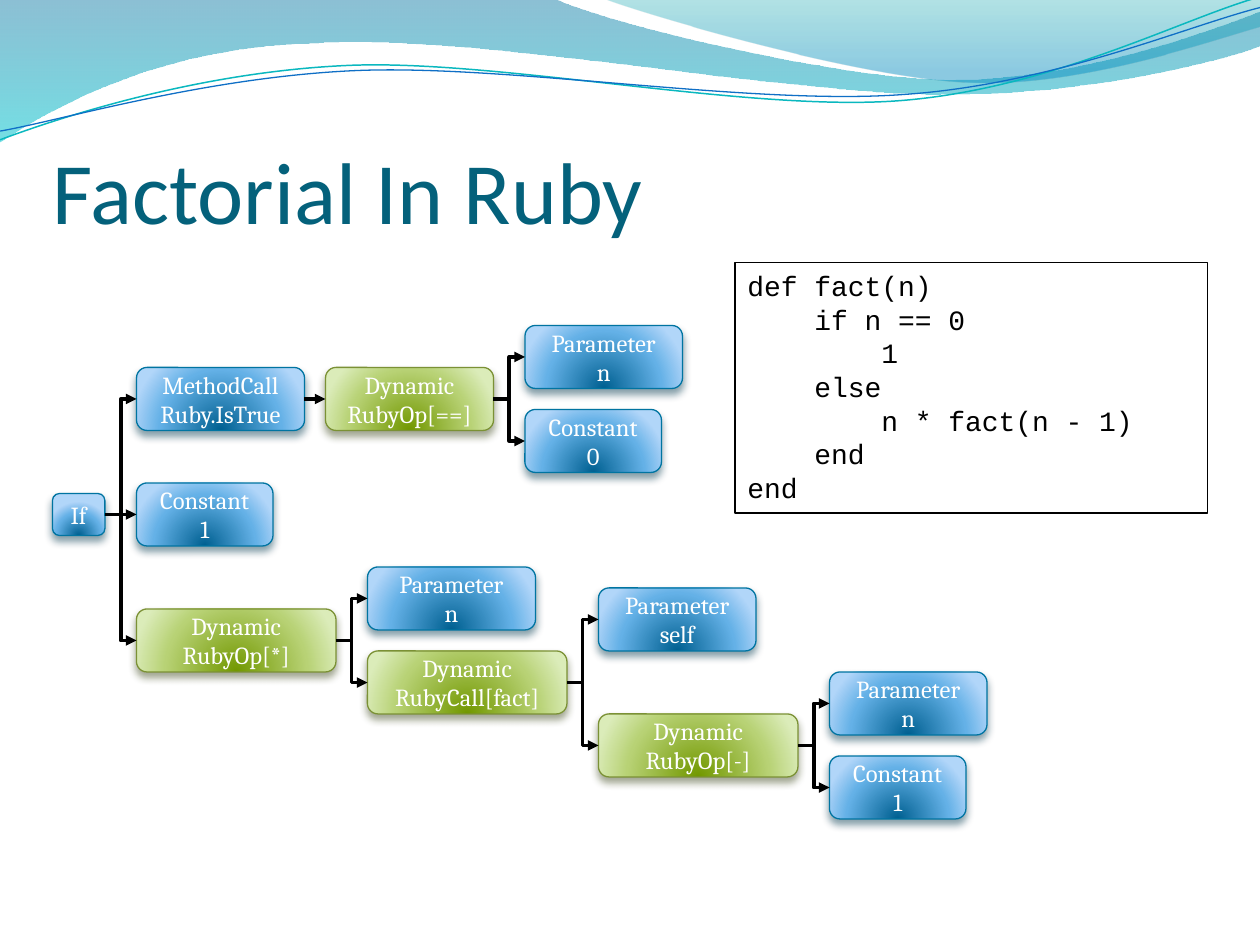
from lxml.etree import SubElement
from pptx import Presentation
from pptx.dml.color import RGBColor
from pptx.enum.shapes import MSO_CONNECTOR, MSO_SHAPE
from pptx.enum.text import MSO_ANCHOR, MSO_AUTO_SIZE, PP_ALIGN
from pptx.oxml.ns import qn
from pptx.util import Pt

BLACK = RGBColor(0x00, 0x00, 0x00)
WHITE = RGBColor(0xFF, 0xFF, 0xFF)
TITLE_TEAL = RGBColor(0x04, 0x61, 0x7B)
WAVE_TEAL = RGBColor(0x0A, 0xB8, 0xBF)
WAVE_BLUE = RGBColor(0x0F, 0x6F, 0xC6)
NODE_STYLES = {
    "blue": {
        "stops": [(0, RGBColor(0x00, 0x60, 0x91), 100), (68, RGBColor(0x64, 0xB1, 0xE7), 100),
                  (100, RGBColor(0xB1, 0xD6, 0xF9), 100)],
        "line": RGBColor(0x00, 0x74, 0xA1), "shadow": RGBColor(0x00, 0x37, 0x4C)},
    "green": {
        "stops": [(0, RGBColor(0x72, 0x98, 0x00), 100), (68, RGBColor(0xB8, 0xD2, 0x75), 100),
                  (100, RGBColor(0xDB, 0xEC, 0xB9), 100)],
        "line": RGBColor(0x7B, 0x91, 0x35), "shadow": RGBColor(0x3A, 0x45, 0x19)},
}

TITLE = "Factorial In Ruby"
CODE = [
    "def fact(n)",
    "    if n == 0",
    "        1",
    "    else",
    "        n * fact(n - 1)",
    "    end",
    "end",
]

# name: (style, left, top, width, height, lines)
NODES = {
    "if": ("blue", 30, 282, 30, 24, ["If"]),
    "is true": ("blue", 78, 210, 96, 36, ["MethodCall", "Ruby.IsTrue"]),
    "equals": ("green", 186, 210, 96, 36, ["Dynamic", "RubyOp[==]"]),
    "equals n": ("blue", 300, 186, 90, 36, ["Parameter", "n"]),
    "equals 0": ("blue", 300, 234, 78, 36, ["Constant", "0"]),
    "then 1": ("blue", 78, 276, 78, 36, ["Constant", "1"]),
    "times": ("green", 78, 348, 114, 36, ["Dynamic", "RubyOp[*]"]),
    "times n": ("blue", 210, 324, 96, 36, ["Parameter", "n"]),
    "call": ("green", 210, 372, 114, 36, ["Dynamic", "RubyCall[fact]"]),
    "self": ("blue", 342, 336, 90, 36, ["Parameter", "self"]),
    "minus": ("green", 342, 408, 114, 36, ["Dynamic", "RubyOp[-]"]),
    "minus n": ("blue", 474, 384, 90, 36, ["Parameter", "n"]),
    "minus 1": ("blue", 474, 432, 78, 36, ["Constant", "1"]),
}
CHILDREN = {
    "if": ["is true", "then 1", "times"],
    "is true": ["equals"],
    "equals": ["equals n", "equals 0"],
    "times": ["times n", "call"],
    "call": ["self", "minus"],
    "minus": ["minus n", "minus 1"],
}

# Each segment is one point (straight) or three points (cubic curve).
WAVE_BANDS = [
    {"start": (0, 0),
     "segments": [[(316.8, -0.7)],
                  [(342.7, 12.2), (478.1, 45.4), (545.8, 45.4)],
                  [(614.2, 45.4), (689.8, 18.7), (720, 6.5)],
                  [(720.7, 25.9)],
                  [(707.8, 31.7), (626.4, 54.7), (537.1, 54)],
                  [(447.8, 54), (275, 20.2), (185, 24.5)],
                  [(92.9, 25.9), (33.1, 59.8), (-0.7, 81.4)]],
     "stops": [(0, RGBColor(0x00, 0x74, 0xA1), 45), (100, RGBColor(0x00, 0xC6, 0xCF), 55)]},
    {"start": (344.9, -0.7),
     "segments": [[(366.5, 7.9), (491, 44.6), (553.7, 46.8)],
                  [(616.3, 49.7), (691.9, 23), (720, 15.1)],
                  [(720, 0)]],
     "stops": [(0, RGBColor(0x00, 0xA1, 0xA9), 30), (80, RGBColor(0x00, 0x8B, 0xBF), 45)]},
]
WAVE_LINES = [
    {"start": (0, 79.9),
     "segments": [[(34.6, 67), (113.8, 41), (199.4, 37.4)],
                  [(284.4, 33.8), (427, 64.1), (513.4, 57.6)],
                  [(599.8, 51.1), (675.4, 10.8), (718.6, -1.4)]],
     "color": WAVE_TEAL, "width": 0.85},
    {"start": (0, 74.9),
     "segments": [[(33.8, 69.1), (118.1, 43.9), (203.8, 40.3)],
                  [(290.2, 36.7), (429.8, 60.5), (516.2, 54)],
                  [(601.9, 48.2), (677.5, 15.1), (720, 4.3)]],
     "color": WAVE_BLUE, "width": 0.75},
]


def add_color(parent, color, opacity):
    element = SubElement(parent, qn("a:srgbClr"), val=str(color))
    if opacity < 100:
        SubElement(element, qn("a:alpha"), val=str(opacity * 1000))


def set_gradient(shape, stops, radial):
    """Fill with (percent, color, opacity) stops, radial from below or straight down."""
    shape.fill.gradient()
    gradient = shape.element.spPr.find(qn("a:gradFill"))
    for child in list(gradient):
        gradient.remove(child)
    stop_list = SubElement(gradient, qn("a:gsLst"))
    for percent, color, opacity in stops:
        add_color(SubElement(stop_list, qn("a:gs"), pos=str(percent * 1000)), color, opacity)
    if radial:
        circle = SubElement(gradient, qn("a:path"), path="circle")
        SubElement(circle, qn("a:fillToRect"), l="50000", t="130000", r="50000", b="-30000")
    else:
        SubElement(gradient, qn("a:lin"), ang="5400000", scaled="0")


def add_wave(slide, start, segments, closed):
    builder = slide.shapes.build_freeform(Pt(start[0]), Pt(start[1]))
    points = [(Pt(x), Pt(y)) for segment in segments for x, y in segment]
    builder.add_line_segments(points, close=closed)
    shape = builder.convert_to_shape()
    shape.shadow.inherit = False
    # Join each three-point segment into one Bézier curve.
    steps = iter(list(shape.element.iter(qn("a:lnTo"))))
    for segment in segments:
        group = [next(steps) for _ in segment]
        if len(group) == 3:
            group[0].tag = qn("a:cubicBezTo")
            for step in group[1:]:
                group[0].append(step[0])
                step.getparent().remove(step)
    return shape


def write_lines(frame, lines, font_name, size, color, alignment):
    for index, line in enumerate(lines):
        paragraph = frame.paragraphs[0] if index == 0 else frame.add_paragraph()
        paragraph.text = line
        paragraph.alignment = alignment
        paragraph.font.name = font_name
        paragraph.font.size = Pt(size)
        paragraph.font.color.rgb = color


def add_node(slide, style_name, left, top, width, height, lines):
    style = NODE_STYLES[style_name]
    shape = slide.shapes.add_shape(
        MSO_SHAPE.ROUNDED_RECTANGLE, Pt(left), Pt(top), Pt(width), Pt(height))
    set_gradient(shape, style["stops"], radial=True)
    shape.line.color.rgb = style["line"]
    shape.line.width = Pt(0.75)
    shape.shadow.inherit = False
    shadow = SubElement(shape.element.spPr.find(qn("a:effectLst")), qn("a:outerShdw"),
                        blurRad=str(Pt(4.5)), dist=str(Pt(3)), dir="5400000", rotWithShape="0")
    add_color(shadow, style["shadow"], 48)
    shape.text_frame.vertical_anchor = MSO_ANCHOR.MIDDLE
    write_lines(shape.text_frame, lines, "Cambria", 14, WHITE, PP_ALIGN.CENTER)
    return shape


def add_arrow(slide, parent, child):
    level = parent.top + parent.height // 2 == child.top + child.height // 2
    kind = MSO_CONNECTOR.STRAIGHT if level else MSO_CONNECTOR.ELBOW
    connector = slide.shapes.add_connector(kind, 0, 0, 0, 0)
    connector.begin_connect(parent, 3)
    connector.end_connect(child, 1)
    connector.line.color.rgb = BLACK
    connector.line.width = Pt(2)
    SubElement(connector.line._get_or_add_ln(), qn("a:tailEnd"), type="triangle")
    SubElement(connector.element.spPr, qn("a:effectLst"))


def main():
    presentation = Presentation()
    presentation.slide_width, presentation.slide_height = Pt(720), Pt(540)
    slide = presentation.slides.add_slide(presentation.slide_layouts[5])

    for band in WAVE_BANDS:
        shape = add_wave(slide, band["start"], band["segments"], closed=True)
        set_gradient(shape, band["stops"], radial=False)
        shape.line.fill.background()
    for wave in WAVE_LINES:
        shape = add_wave(slide, wave["start"], wave["segments"], closed=False)
        shape.fill.background()
        shape.line.color.rgb = wave["color"]
        shape.line.width = Pt(wave["width"])

    title = slide.shapes.title
    title.left, title.top, title.width, title.height = Pt(30), Pt(78), Pt(660), Pt(48)
    frame = title.text_frame
    frame.margin_left = frame.margin_top = frame.margin_right = frame.margin_bottom = 0
    frame.vertical_anchor = MSO_ANCHOR.TOP
    frame.auto_size = MSO_AUTO_SIZE.NONE
    write_lines(frame, [TITLE], "Calibri", 50, TITLE_TEAL, PP_ALIGN.LEFT)

    code_box = slide.shapes.add_shape(MSO_SHAPE.RECTANGLE, Pt(420), Pt(150), Pt(270), Pt(143))
    code_box.shadow.inherit = False
    code_box.fill.solid()
    code_box.fill.fore_color.rgb = WHITE
    code_box.line.color.rgb = BLACK
    code_box.line.width = Pt(1)
    code_box.text_frame.vertical_anchor = MSO_ANCHOR.TOP
    write_lines(code_box.text_frame, CODE, "Courier New", 16, BLACK, PP_ALIGN.LEFT)

    nodes = {name: add_node(slide, *node) for name, node in NODES.items()}
    for parent, children in CHILDREN.items():
        for child in children:
            add_arrow(slide, nodes[parent], nodes[child])

    presentation.save("out.pptx")


if __name__ == "__main__":
    main()
